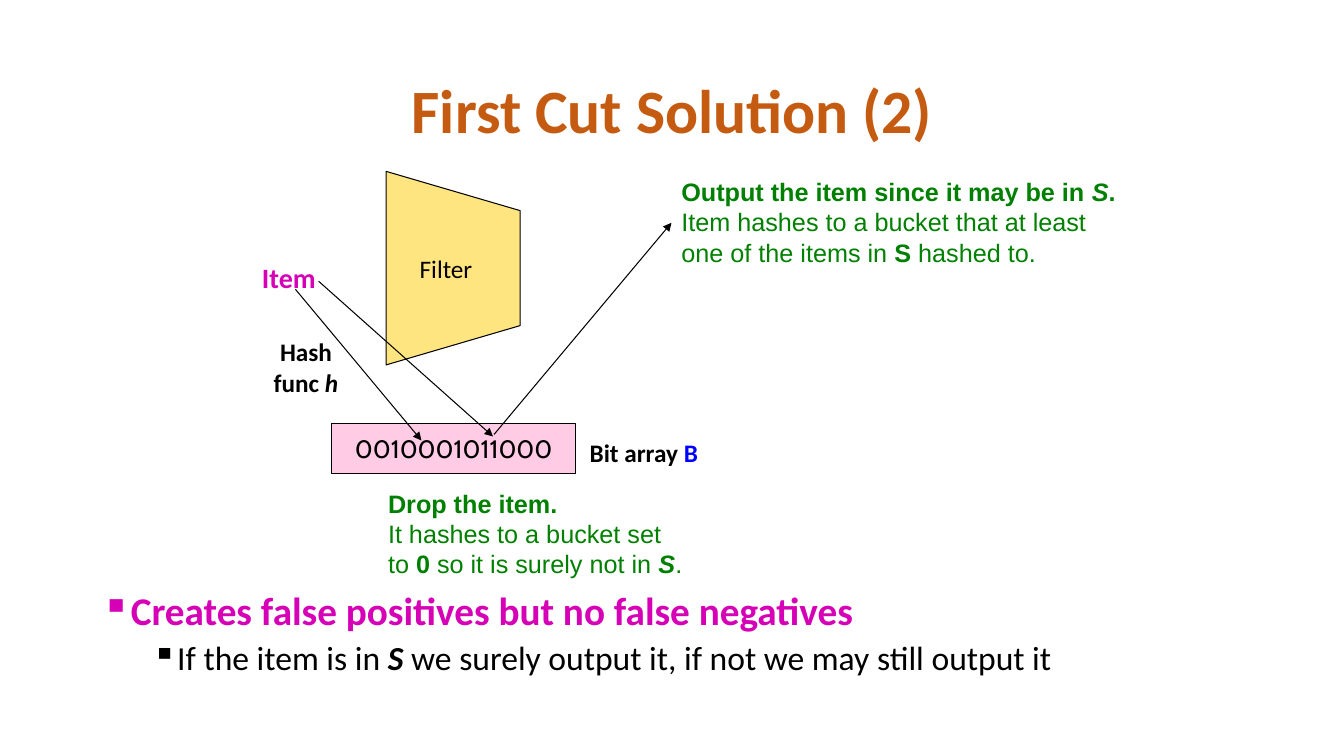
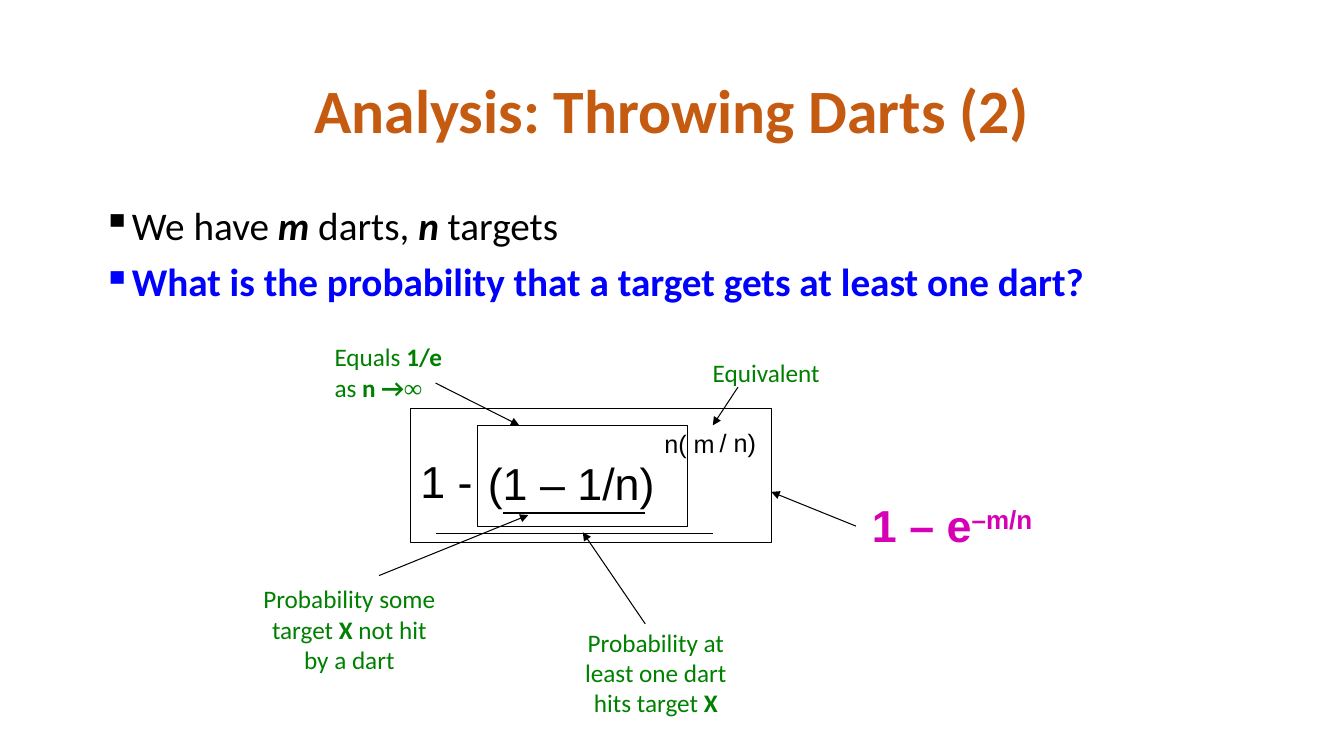
"""Build two lecture slides on filtering a stream with hashed bits."""
import pptx
import pptx.dml.color
import pptx.enum.shapes
import pptx.enum.text
import pptx.oxml.ns
import pptx.util
from lxml import etree

PX = 9144
INK = {
    "black": "000000", "rust": "C55A11", "pink": "D600B7", "green": "008000",
    "blue": "0000FF", "gold": "FFCC00", "rose": "FF99CC",
}
BOLD = {"bold": True}
SLANT = {"bold": True, "italic": True}
TITLE = {"size": 44, "ink": "rust", "bold": True}
POINT = {"size": 28}
NOTE = {"ink": "green"}
PLAIN = {"font": "Arial"}
SUM = {"font": "Arial", "size": 32}
LEFT = pptx.enum.text.PP_ALIGN.LEFT
MID = pptx.enum.text.PP_ALIGN.CENTER


def px(*nums):
    return [pptx.util.Emu(num * PX) for num in nums]


def rgb(ink):
    return pptx.dml.color.RGBColor.from_string(INK[ink])


def add(node, tag, **attrs):
    return etree.SubElement(node, pptx.oxml.ns.qn(tag), attrs)


def style(run, font="Calibri", size=18, ink="black", bold=False, italic=False, lift=0):
    run.font.name = font
    run.font.size = pptx.util.Pt(size)
    run.font.color.rgb = rgb(ink)
    run.font.bold = bold
    run.font.italic = italic
    if lift:
        run._r.get_or_add_rPr().set("baseline", str(lift * 1000))


def fill_line(para, line, look):
    parts = [(line, {})] if isinstance(line, str) else line
    for part in parts:
        text, change = (part, {}) if isinstance(part, str) else part
        run = para.add_run()
        run.text = text
        style(run, **{**look, **change})


def write(frame, lines, look, align=LEFT, wrap=False):
    frame.word_wrap = wrap
    for num, line in enumerate(lines):
        para = frame.add_paragraph() if num else frame.paragraphs[0]
        para.alignment = align
        fill_line(para, line, look)
    return frame


def label(slide, box, lines, look, align=LEFT, wrap=False):
    shape = slide.shapes.add_textbox(*px(*box))
    return write(shape.text_frame, lines, look, align, wrap)


def title(slide, text):
    frame = label(slide, (92, 40, 1150, 145), [text], TITLE, MID, True)
    frame.vertical_anchor = pptx.enum.text.MSO_ANCHOR.MIDDLE
    frame.paragraphs[0].line_spacing = 0.9


def bullets(slide, box, lines, levels):
    frame = label(slide, box, lines, POINT, wrap=True)
    for para, level in zip(frame.paragraphs, levels):
        para.level = level
        para.line_spacing = 0.9
        para.space_before = pptx.util.Pt(5 if level else 10)
        props = para._p.get_or_add_pPr()
        props.set("marL", str((25 + 50 * level) * PX))
        props.set("indent", str(-25 * PX))
        add(props, "a:buChar", char="▪")


def paint(shape, ink=None):
    shape.shadow.inherit = False
    shape.line.color.rgb = rgb("black")
    shape.line.width = pptx.util.Pt(0.75)
    if not ink:
        shape.fill.background()
        return
    shape.fill.solid()
    shape.fill.fore_color.rgb = rgb(ink)
    color = shape.fill._xPr.find(".//" + pptx.oxml.ns.qn("a:srgbClr"))
    add(color, "a:alpha", val="50000")


def caption(shape, text, look):
    frame = write(shape.text_frame, [text], look, MID)
    frame.vertical_anchor = pptx.enum.text.MSO_ANCHOR.MIDDLE
    return frame


def frame_box(slide, box, ink=None):
    kind = pptx.enum.shapes.MSO_SHAPE.RECTANGLE
    shape = slide.shapes.add_shape(kind, *px(*box))
    paint(shape, ink)
    return shape


def funnel(slide, spots, text):
    build = slide.shapes.build_freeform(*spots[0], scale=PX)
    build.add_line_segments(spots[1:], close=True)
    shape = build.convert_to_shape()
    paint(shape, "gold")
    caption(shape, text, {}).margin_right = px(24)[0]


def stroke(slide, ends, width=0.75, arrow=True):
    kind = pptx.enum.shapes.MSO_CONNECTOR.STRAIGHT
    line = slide.shapes.add_connector(kind, *px(*ends))
    line.line.color.rgb = rgb("black")
    line.line.width = pptx.util.Pt(width)
    if arrow:
        add(line.line._get_or_add_ln(), "a:tailEnd", type="triangle")
    add(line._element.spPr, "a:effectLst")


def first_cut(slide):
    title(slide, "First Cut Solution (2)")
    bullets(slide, (91, 582, 1150, 139), [
        [("Creates false positives but no false negatives", {"ink": "pink", "bold": True})],
        [("If the item is in ", {"size": 24}), ("S", {"size": 24, **SLANT}),
         (" we surely output it, if not we may still output it", {"size": 24})],
    ], (0, 1))
    funnel(slide, [(383, 362), (516, 323), (516, 209), (383, 170)], "Filter")
    label(slide, (250, 254, 77, 44), ["Item"], {"size": 20, "ink": "pink", "bold": True})
    bits = frame_box(slide, (329, 420, 242, 50), "rose")
    caption(bits, "0010001011000", {"font": "Cabin"})
    for ends in ((316, 279, 489, 433), (490, 431, 666, 221), (293, 287, 418, 437)):
        stroke(slide, ends)
    label(slide, (666, 170, 455, 101), [
        [("Output the item since it may be in ", BOLD), ("S", SLANT), (".", BOLD)],
        "Item hashes to a bucket that at least",
        ["one of the items in ", ("S", BOLD), " hashed to."],
    ], {**PLAIN, **NOTE})
    label(slide, (257, 329, 93, 71), ["Hash", ["func ", ("h", SLANT)]], BOLD, MID, True)
    label(slide, (375, 479, 315, 101), [
        [("Drop the item.", BOLD)],
        "It hashes to a bucket set",
        ["to ", ("0", BOLD), " so it is surely not in ", ("S", SLANT), "."],
    ], {**PLAIN, **NOTE})
    label(slide, (575, 429, 135, 40), [["Bit array ", ("B", {"ink": "blue"})]], BOLD)


def darts(slide):
    title(slide, "Analysis: Throwing Darts (2)")
    bullets(slide, (92, 200, 1150, 476), [
        ["We have ", ("m", SLANT), " darts, ", ("n", SLANT), " targets"],
        [("What is the probability that a target gets at least one dart?",
          {"ink": "blue", "bold": True})],
    ], (0, 0))
    for box in ((474, 422, 208, 100), (407, 405, 358, 133)):
        frame_box(slide, box)
    label(slide, (407, 445, 72, 64), ["1 -"], SUM)
    label(slide, (474, 447, 187, 64), ["(1 – 1/n)"], SUM)
    label(slide, (649, 420, 43, 40), ["n("], PLAIN)
    label(slide, (678, 420, 41, 40), ["m"], PLAIN)
    label(slide, (704, 419, 57, 40), ["/ n)"], PLAIN)
    label(slide, (855, 489, 190, 64), [["1 – e", ("–m/n", {"lift": 30})]],
          {**SUM, "ink": "pink", "bold": True})
    label(slide, (250, 574, 193, 101), [
        "Probability some", ["target ", ("X", BOLD), " not hit"], "by a dart",
    ], NOTE, MID)
    label(slide, (539, 617, 223, 105), [
        "Probability at", "least one dart", ["hits target ", ("X", BOLD)],
    ], NOTE, MID, True)
    label(slide, (697, 350, 128, 40), ["Equivalent"], NOTE)
    label(slide, (322, 334, 127, 71), [
        ["Equals ", ("1/e", BOLD)],
        ["as ", ("n →", BOLD), ("∞", {"font": "Times New Roman", "bold": True})],
    ], NOTE)
    for ends in ((376, 571, 524, 511), (640, 619, 578, 528), (732, 384, 707, 422),
                 (432, 380, 515, 422), (849, 522, 765, 488)):
        stroke(slide, ends)
    for ends in ((499, 509, 640, 509), (432, 529, 707, 529)):
        stroke(slide, ends, 1, False)


def main():
    deck = pptx.Presentation()
    deck.slide_width, deck.slide_height = px(1333, 750)
    for draw in (first_cut, darts):
        draw(deck.slides.add_slide(deck.slide_layouts[6]))
    deck.save("out.pptx")


if __name__ == "__main__":
    main()
